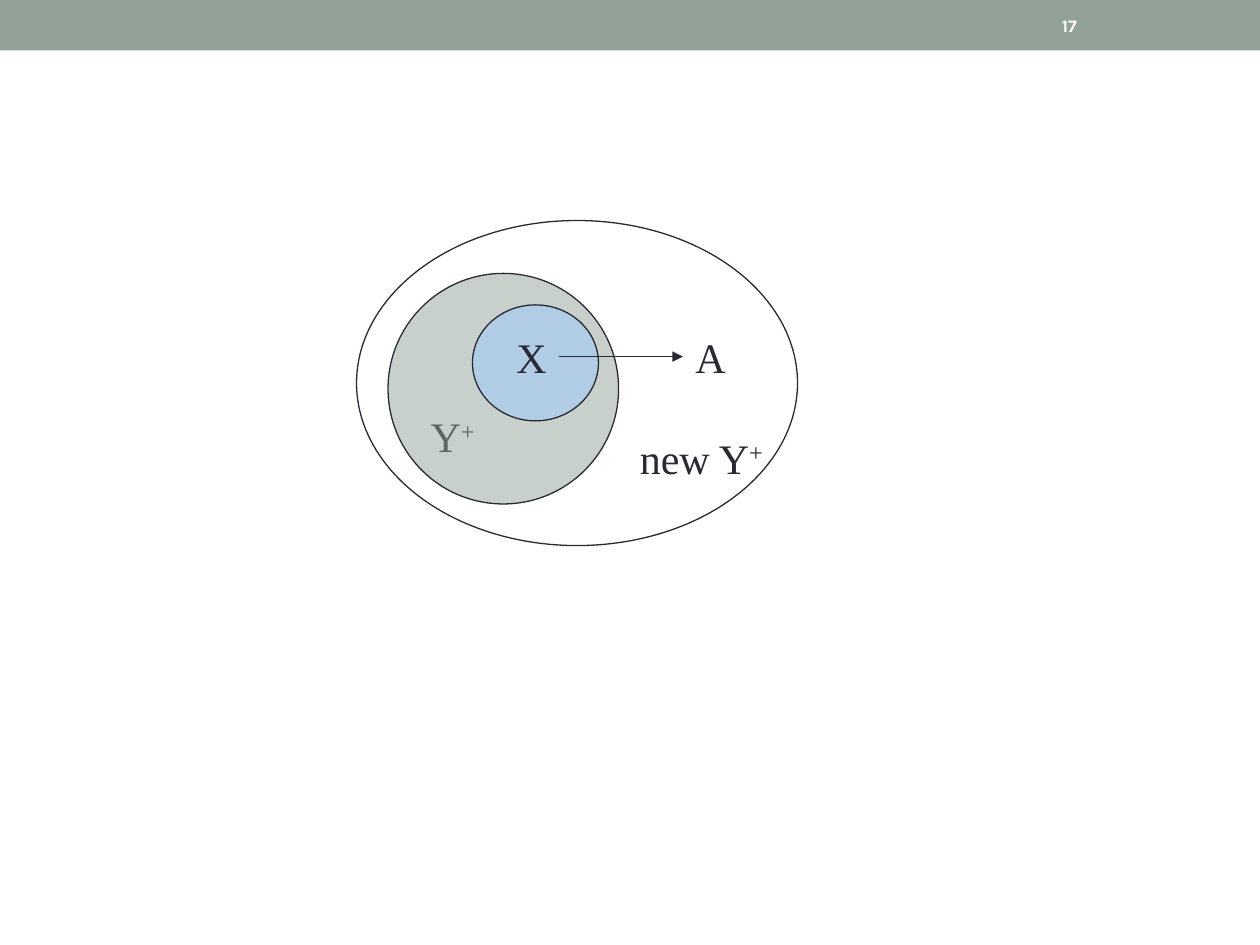
from pptx import Presentation
from pptx.dml.color import RGBColor
from pptx.enum.shapes import MSO_CONNECTOR, MSO_SHAPE
from pptx.enum.text import MSO_ANCHOR, MSO_AUTO_SIZE
from pptx.oxml.ns import qn
from pptx.util import Inches, Pt
from lxml.etree import SubElement

COLORS = {"sage": "93A299", "sky": "99CCFF", "ink": "292934", "white": "FFFFFF"}

deck = Presentation()
deck.slide_width, deck.slide_height = Inches(10), Inches(7.5)
page = deck.slides.add_slide(deck.slide_layouts[6])


def add_ellipse(left, top, width, height, fill=None):
    oval = page.shapes.add_shape(
        MSO_SHAPE.OVAL, Inches(left), Inches(top), Inches(width), Inches(height))
    oval.shadow.inherit = False
    oval.line.color.rgb = RGBColor.from_string(COLORS["ink"])
    oval.line.width = Pt(0.75)
    if fill:
        oval.fill.solid()
        oval.fill.fore_color.rgb = RGBColor.from_string(COLORS[fill])
        tint = oval.fill._xPr.find(qn("a:solidFill"))[0]
        SubElement(tint, qn("a:alpha")).set("val", "50000")
    else:
        oval.fill.background()


def add_label(left, top, width, height, text, superscript="",
              font="Times New Roman", size=24, color="ink", bold=False):
    box = page.shapes.add_textbox(
        Inches(left), Inches(top), Inches(width), Inches(height))
    box.text_frame.word_wrap = False
    para = box.text_frame.paragraphs[0]
    for piece, baseline in ((text, None), (superscript, "30000")):
        if not piece:
            continue
        span = para.add_run()
        span.text = piece
        span.font.name = font
        span.font.size = Pt(size)
        span.font.bold = bold
        span.font.color.rgb = RGBColor.from_string(COLORS[color])
        if baseline:
            span.font._element.set("baseline", baseline)
    box.text_frame.auto_size = MSO_AUTO_SIZE.SHAPE_TO_FIT_TEXT
    return box


banner = page.shapes.add_shape(MSO_SHAPE.RECTANGLE, 0, 0, deck.slide_width, Inches(0.4))
banner.shadow.inherit = False
banner.fill.solid()
banner.fill.fore_color.rgb = RGBColor.from_string(COLORS["sage"])
banner.line.fill.background()

number = add_label(8.33, 0.02, 1.17, 0.36, "17",
                   font="Karla", size=10, color="white", bold=True)
number.text_frame.word_wrap = True
number.text_frame.auto_size = MSO_AUTO_SIZE.NONE
number.text_frame.vertical_anchor = MSO_ANCHOR.MIDDLE

add_label(3.32, 3.21, 0.57, 0.5, "Y", "+")
add_ellipse(3.08, 2.17, 1.83, 1.83, "sage")
add_label(4.98, 3.38, 1.21, 0.5, "new Y", "+")
add_ellipse(2.83, 1.75, 3.5, 2.58)
add_ellipse(3.75, 2.42, 1, 0.92, "sky")
source = add_label(4, 2.58, 0.44, 0.5, "X")
target = add_label(5.42, 2.58, 0.44, 0.5, "A")

arrow = page.shapes.add_connector(
    MSO_CONNECTOR.STRAIGHT, Inches(4.42), Inches(2.83), Inches(5.42), Inches(2.83))
arrow.begin_connect(source, 3)
arrow.end_connect(target, 1)
arrow.line.color.rgb = RGBColor.from_string(COLORS["ink"])
arrow.line.width = Pt(0.75)
SubElement(arrow.line._get_or_add_ln(), qn("a:tailEnd")).set("type", "triangle")
SubElement(arrow._element.spPr, qn("a:effectLst"))

deck.save("out.pptx")
